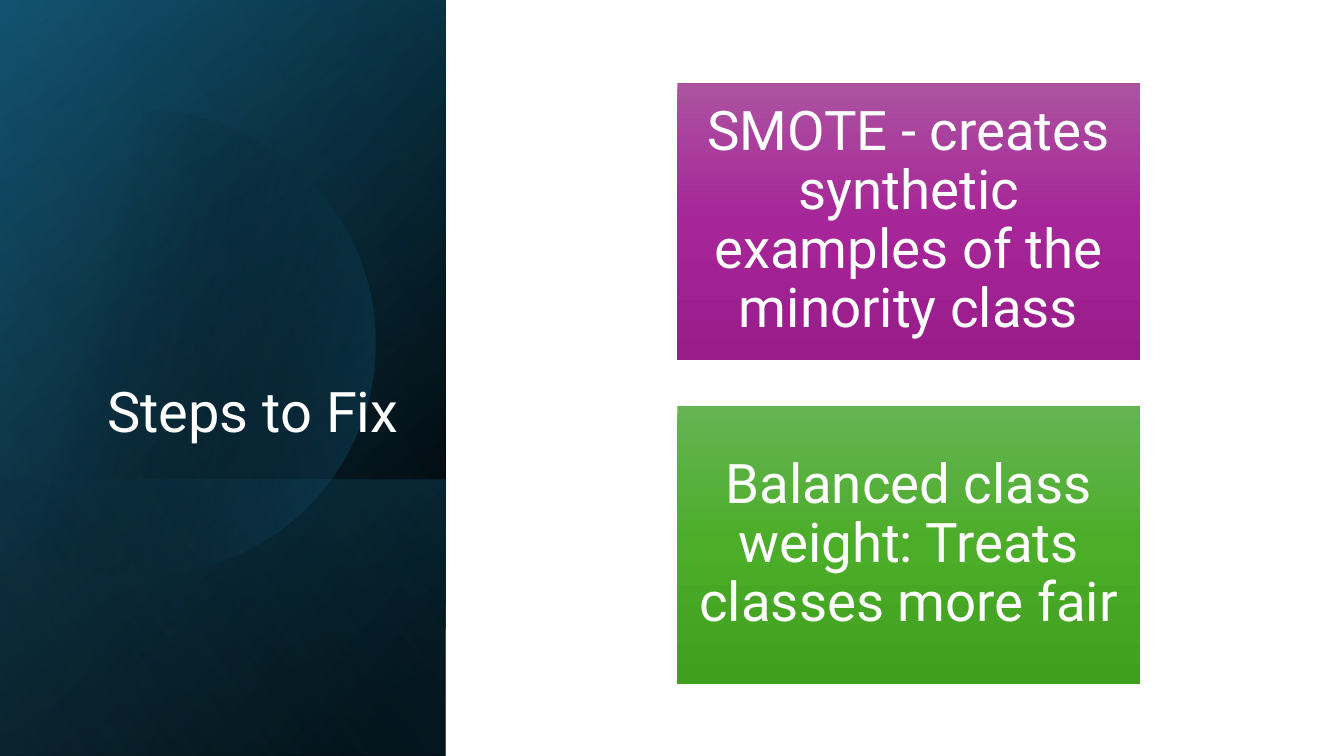
"""Build the Steps to Fix slide: a layered dark panel and two method cards."""
from math import acos, cos, sin
from lxml.etree import SubElement
from pptx import Presentation
from pptx.dml.color import RGBColor as Rgb
from pptx.enum.shapes import MSO_SHAPE as Kind
from pptx.enum.text import MSO_ANCHOR as Anchor, PP_ALIGN as Align
from pptx.oxml.ns import qn
from pptx.util import Cm, Pt

TITLE = "Steps to Fix"
STEPS = [
    ("SMOTE - creates synthetic examples of the minority class", "plum"),
    ("Balanced class weight: Treats classes more fair", "leaf"),
]
WIDE, HIGH = 33.87, 19.05
PANEL = (0, 0, 11.23, HIGH)
BAND = (0, 12.09, 11.23, 6.96)
DISC = (3.63, 8.64, 5.84)
HEAD = (1.63, 4.67, 8.66, 6.65)
CARD = (17.07, 2.08, 11.66, 6.99)
GAP = 1.17
THEME = {
    "font": "Roboto",
    "ink": "FFFFFF",
    "head": 40,
    "card": 39,
    "base": (220, [(8, "000000", 100), (100, "104862", 100)]),
    "glow": (240, [(0, "000000", 0), (99, "156082", 46)]),
    "band": (140, [(2, "156082", 29), (100, "000000", 30)]),
    "disc": (14, [(29, "000000", 0), (100, "156082", 43)]),
    "tint": (150, [(0, "000000", 0), (99, "46B1E1", 11)]),
    "plum": (90, [(0, "AC53A0", 100), (50, "A62598", 100), (100, "991C8B", 100)]),
    "leaf": (90, [(0, "66B354", 100), (50, "4BAD28", 100), (100, "409F1E", 100)]),
}


def paint(shape, key):
    turn, stops = THEME[key]
    shape.shadow.inherit = False
    shape.line.fill.background()
    shape.fill.gradient()
    shape.fill.gradient_angle = (360 - turn) % 360
    ramp = next(shape.element.iter(qn("a:gsLst")))
    for old in list(ramp):
        ramp.remove(old)
    for place, tone, alpha in stops:
        stop = SubElement(ramp, qn("a:gs"), pos=str(place * 1000))
        color = SubElement(stop, qn("a:srgbClr"), val=tone)
        if alpha < 100:
            SubElement(color, qn("a:alpha"), val=str(alpha * 1000))


def block(slide, area, key):
    shape = slide.shapes.add_shape(Kind.RECTANGLE, *map(Cm, area))
    paint(shape, key)
    return shape


def disc(slide):
    mid, row, size = DISC
    edge = acos(-mid / size)
    turns = [edge * (2 * n / 120 - 1) for n in range(121)]
    dots = [(Cm(mid + size * cos(t)), Cm(row + size * sin(t))) for t in turns]
    form = slide.shapes.build_freeform(*dots[0])
    form.add_line_segments(dots[1:], close=True)
    paint(form.convert_to_shape(), "disc")


def write(shape, text, size, align, anchor, pad):
    frame = shape.text_frame
    look = {"word_wrap": True, "vertical_anchor": anchor, **pad}
    para = frame.paragraphs[0]
    run = para.add_run()
    run.text = text
    for item, form in (
        (frame, look),
        (para, {"alignment": align, "line_spacing": 0.9}),
        (run.font, {"name": THEME["font"], "size": Pt(THEME[size])}),
        (run.font.color, {"rgb": Rgb.from_string(THEME["ink"])}),
    ):
        for name, value in form.items():
            setattr(item, name, value)


def main():
    deck = Presentation()
    deck.slide_width, deck.slide_height = Cm(WIDE), Cm(HIGH)
    slide = deck.slides.add_slide(deck.slide_layouts[6])
    for area, key in ((PANEL, "base"), (PANEL, "glow"), (BAND, "band")):
        block(slide, area, key)
    disc(slide)
    block(slide, PANEL, "tint")
    head = slide.shapes.add_textbox(*map(Cm, HEAD))
    write(head, TITLE, "head", Align.RIGHT, Anchor.BOTTOM, {})
    sides = ("left", "top", "right", "bottom")
    pad = {f"margin_{side}": Cm(0.41) for side in sides}
    left, top, wide, high = CARD
    for n, (text, key) in enumerate(STEPS):
        card = block(slide, (left, top + n * (high + GAP), wide, high), key)
        write(card, text, "card", Align.CENTER, Anchor.MIDDLE, pad)
    deck.save("out.pptx")


if __name__ == "__main__":
    main()
